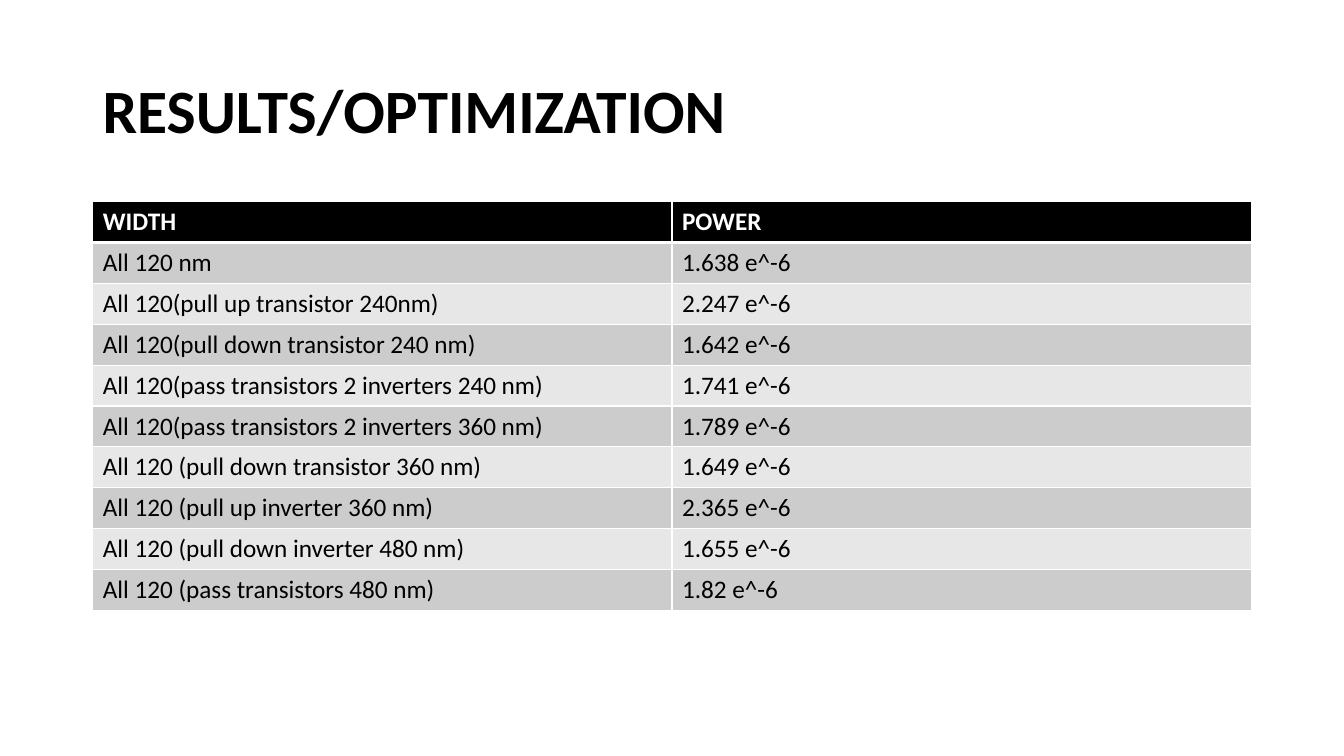
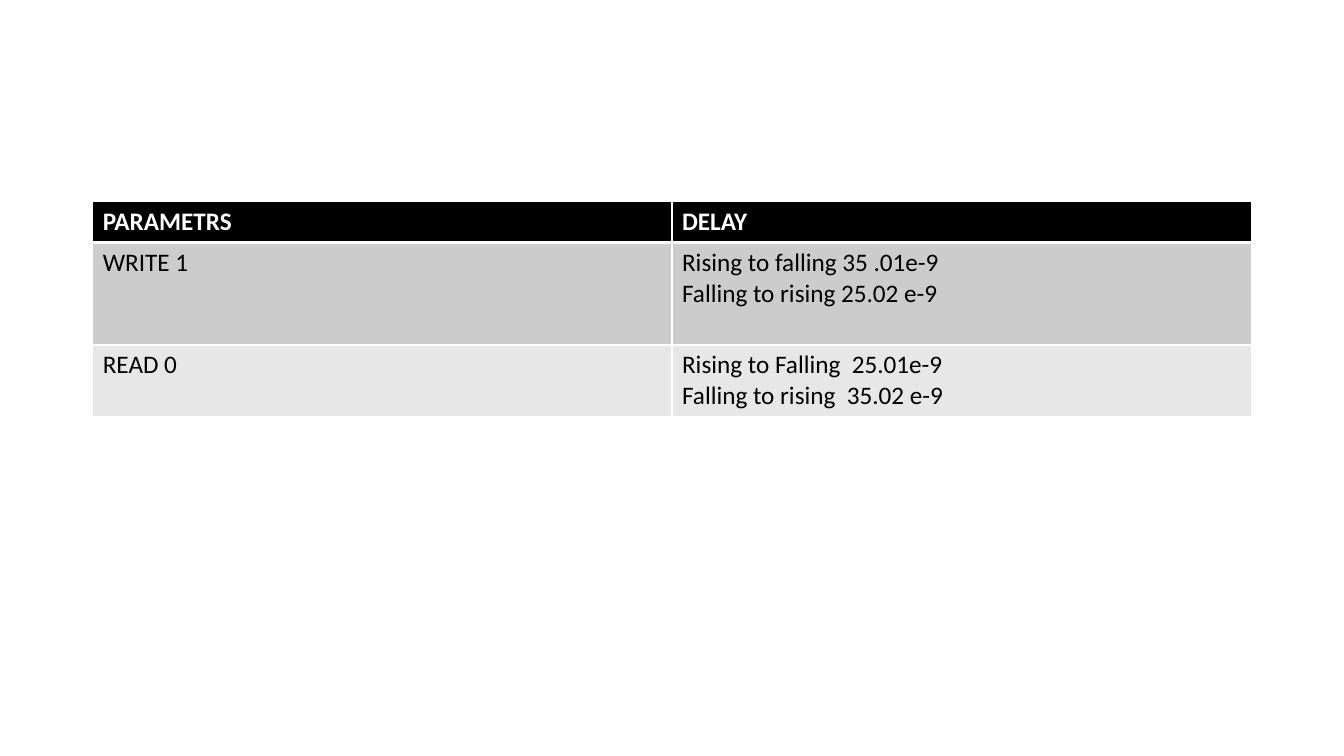
from lxml.etree import SubElement
from pptx import Presentation
from pptx.dml.color import RGBColor
from pptx.enum.text import MSO_ANCHOR
from pptx.oxml.ns import qn
from pptx.util import Inches, Pt

BLACK = RGBColor(0x00, 0x00, 0x00)
WHITE = RGBColor(0xFF, 0xFF, 0xFF)
BANDS = RGBColor(0xCC, 0xCC, 0xCC), RGBColor(0xE7, 0xE7, 0xE7)

TITLE_FONT = {"name": "Calibri", "size": Pt(44), "bold": True}
HEADER_FONT = {"name": "Calibri", "size": Pt(18), "bold": True}
BODY_FONT = {**HEADER_FONT, "bold": False}

SLIDE_WIDTH, SLIDE_HEIGHT = Inches(13.333), Inches(7.5)
GRID_COLUMNS, GRID_ROWS = 29, 150
TITLE_AREA = (2, 8, 25, 29)
TABLE_CORNER = (2, 40, 25)
LINE_HEIGHT, CELL_PADDING = Pt(22), Pt(7.2)
THIN, THICK = Pt(1), Pt(3)

POWER_TABLE = [
    ("WIDTH", "POWER"),
    ("All 120 nm", "1.638 e^-6"),
    ("All 120(pull up transistor 240nm)", "2.247 e^-6"),
    ("All 120(pull down transistor 240 nm)", "1.642 e^-6"),
    ("All 120(pass transistors 2 inverters 240 nm)", "1.741 e^-6"),
    ("All 120(pass transistors 2 inverters 360 nm)", "1.789 e^-6"),
    ("All 120 (pull down transistor 360 nm)", "1.649 e^-6"),
    ("All 120 (pull up inverter 360 nm)", "2.365 e^-6"),
    ("All 120 (pull down inverter 480 nm)", "1.655 e^-6"),
    ("All 120 (pass transistors 480 nm)", "1.82 e^-6"),
]
DELAY_TABLE = [
    ("PARAMETRS", "DELAY"),
    ("WRITE 1", "Rising to falling 35 .01e-9\nFalling to rising 25.02 e-9"),
    ("READ 0", "Rising to Falling  25.01e-9\nFalling to rising  35.02 e-9"),
]


def across(columns):
    return round(SLIDE_WIDTH * columns / GRID_COLUMNS)


def down(rows):
    return round(SLIDE_HEIGHT * rows / GRID_ROWS)


def write(frame, text, font_format, color):
    frame.text = text
    for paragraph in frame.paragraphs:
        for run in paragraph.runs:
            for attribute, value in font_format.items():
                setattr(run.font, attribute, value)
            run.font.color.rgb = color


def add_title(slide, area, text):
    left, top, width, height = area
    title = slide.shapes.add_textbox(
        across(left), down(top), across(width), down(height))
    frame = title.text_frame
    frame.word_wrap = True
    frame.vertical_anchor = MSO_ANCHOR.MIDDLE
    write(frame, text, TITLE_FONT, BLACK)
    frame.paragraphs[0].line_spacing = 0.9


def set_borders(cell, row):
    widths = {
        "a:lnL": THIN,
        "a:lnR": THIN,
        "a:lnT": THICK if row == 1 else THIN,
        "a:lnB": THICK if row == 0 else THIN,
    }
    properties = cell._tc.get_or_add_tcPr()
    for side, width in widths.items():
        border = SubElement(properties, qn(side), w=str(width))
        fill = SubElement(border, qn("a:solidFill"))
        SubElement(fill, qn("a:srgbClr"), val=str(WHITE))


def add_data_table(slide, corner, records, line_counts):
    left, top, width = corner
    heights = [CELL_PADDING + LINE_HEIGHT * count for count in line_counts]
    table = slide.shapes.add_table(
        len(records), len(records[0]),
        across(left), down(top), across(width), sum(heights)).table
    for row, (record, height) in enumerate(zip(records, heights)):
        table.rows[row].height = height
        is_header = row == 0
        for column, text in enumerate(record):
            cell = table.cell(row, column)
            set_borders(cell, row)
            cell.fill.solid()
            cell.fill.fore_color.rgb = BLACK if is_header else BANDS[(row - 1) % 2]
            write(cell.text_frame, text,
                  HEADER_FONT if is_header else BODY_FONT,
                  WHITE if is_header else BLACK)


def main():
    deck = Presentation()
    deck.slide_width, deck.slide_height = SLIDE_WIDTH, SLIDE_HEIGHT
    blank = deck.slide_layouts[6]

    power_slide = deck.slides.add_slide(blank)
    add_title(power_slide, TITLE_AREA, "RESULTS/OPTIMIZATION")
    add_data_table(power_slide, TABLE_CORNER, POWER_TABLE, [1] * len(POWER_TABLE))

    delay_slide = deck.slides.add_slide(blank)
    add_data_table(delay_slide, TABLE_CORNER, DELAY_TABLE, [1, 3, 2])

    deck.save("out.pptx")


if __name__ == "__main__":
    main()
